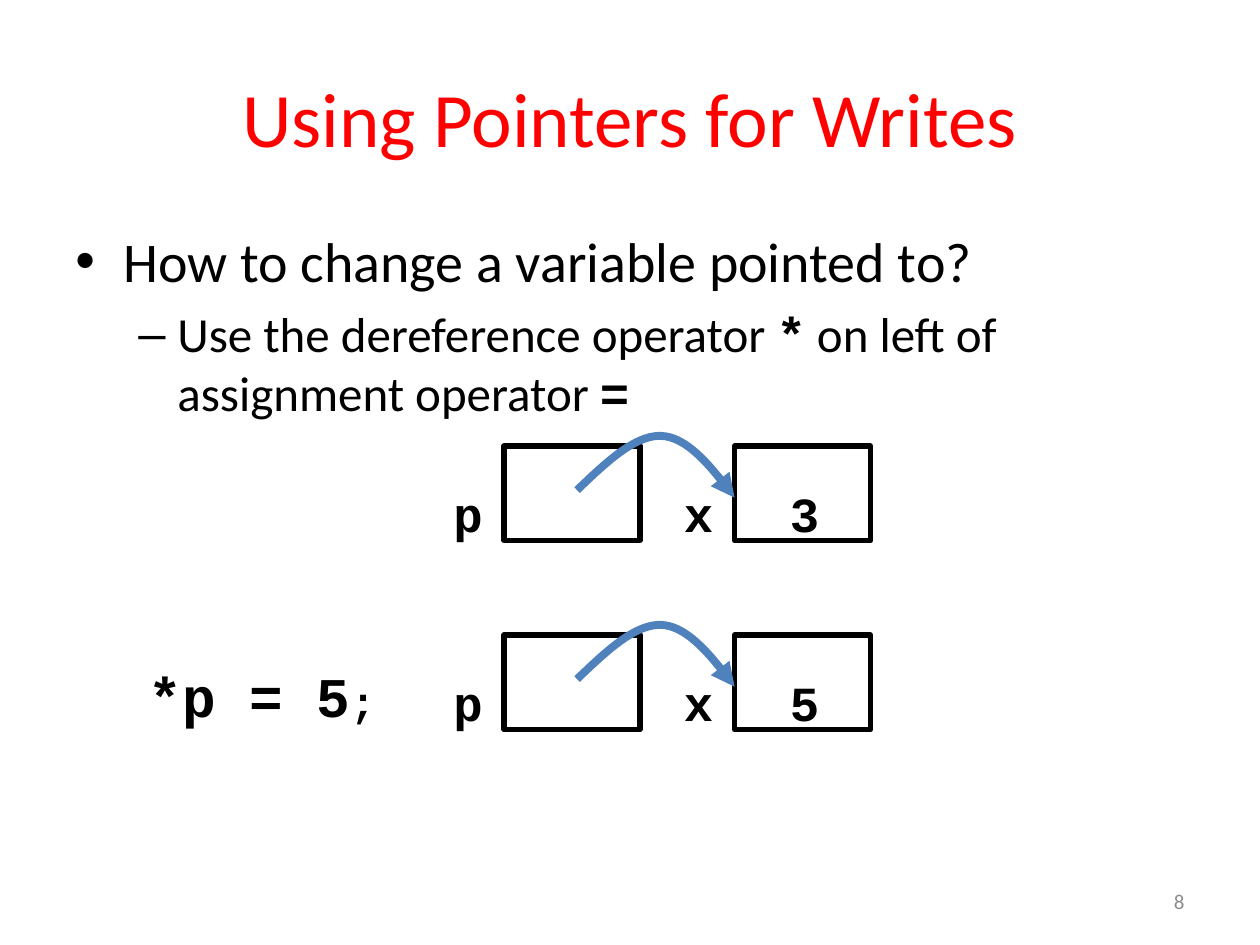
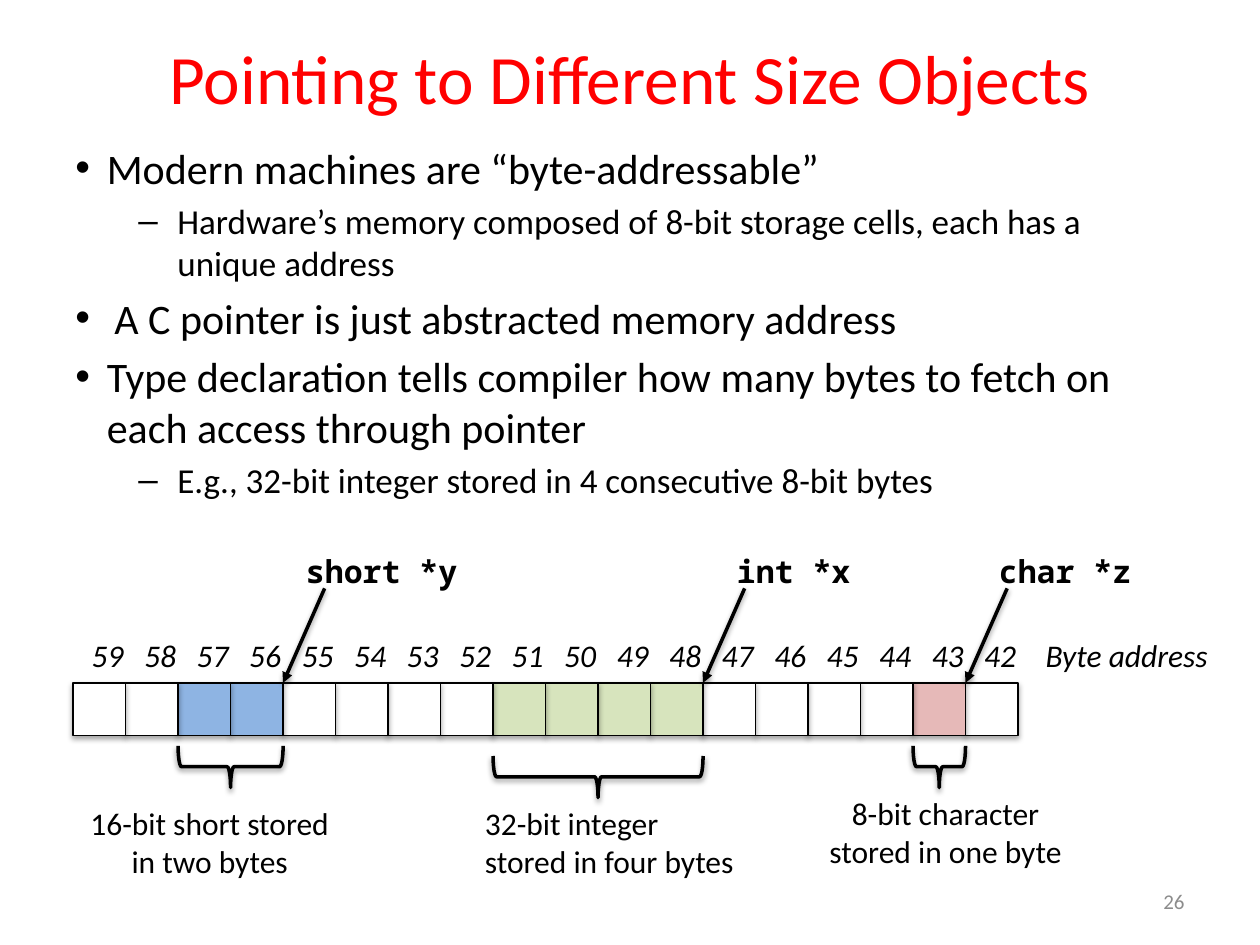
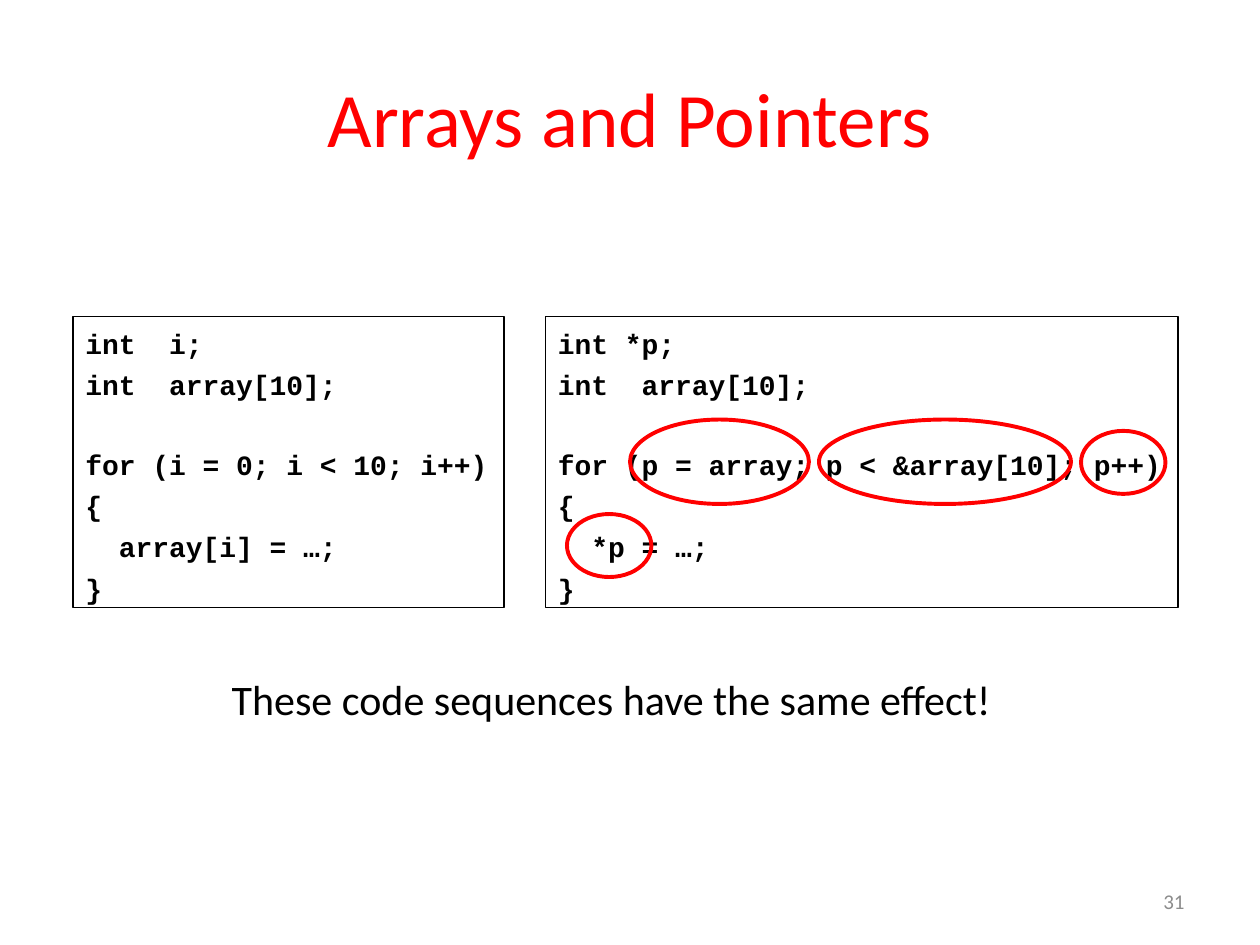
from typing import NamedTuple, Optional

from lxml.etree import SubElement
from pptx import Presentation
from pptx.dml.color import RGBColor
from pptx.enum.shapes import MSO_CONNECTOR, MSO_SHAPE
from pptx.enum.text import MSO_ANCHOR, MSO_AUTO_SIZE, PP_ALIGN
from pptx.oxml.ns import qn
from pptx.util import Inches, Pt

BLACK = RGBColor(0x00, 0x00, 0x00)
WHITE = RGBColor(0xFF, 0xFF, 0xFF)
RED = RGBColor(0xFF, 0x00, 0x00)
GREY = RGBColor(0x8C, 0x8C, 0x8C)
ARROW_BLUE = RGBColor(0x4F, 0x81, 0xBD)
SHORT_BLUE = RGBColor(0x8E, 0xB4, 0xE3)
INT_GREEN = RGBColor(0xD7, 0xE4, 0xBD)
CHAR_PINK = RGBColor(0xE6, 0xB9, 0xB8)

BODY_FONT = "Calibri"
CODE_FONT = "Courier New"
DECLARATION_FONT = "Noto Sans Mono"

TITLE_ONLY = 5
CELL = 7.5 / 18
ROW_LEFT = 0.58
ROW_TOP = 5.42
FIRST_ADDRESS, LAST_ADDRESS = 59, 42


class Box(NamedTuple):
    left: float
    top: float
    width: float
    height: float

    def inches(self) -> list:
        return [Inches(length) for length in self]


class Bullet(NamedTuple):
    """One list item; every second piece of its text is code."""
    pieces: tuple[str, ...]
    size: int
    indent: float
    hanging: float
    mark: str = "•"


class PointedObject(NamedTuple):
    """A stored value: the addresses it covers, its pointer and its caption."""
    high: int
    low: int
    color: RGBColor
    declaration: str
    declaration_box: Box
    brace_top: float
    caption: str
    caption_box: Box
    align: PP_ALIGN = PP_ALIGN.CENTER


OBJECTS = (
    PointedObject(51, 48, INT_GREEN, "int *x", Box(5.75, 4.33, 1.11, 0.4), 6.0,
                  "32-bit integer stored in four bytes",
                  Box(3.75, 6.33, 2.25, 0.71), PP_ALIGN.LEFT),
    PointedObject(57, 56, SHORT_BLUE, "short *y", Box(2.33, 4.33, 1.41, 0.4), 5.92,
                  "16-bit short stored in two bytes", Box(0.58, 6.33, 2.17, 0.71)),
    PointedObject(43, 43, CHAR_PINK, "char *z", Box(7.83, 4.33, 1.26, 0.4), 5.92,
                  "8-bit character stored in one byte", Box(6.42, 6.25, 2.17, 0.71)),
)

WRITE_BULLETS = (
    Bullet(("How to change a variable pointed to?",), 32, 0.38, 0.38),
    Bullet(("Use the dereference operator ", "*", " on left of assignment operator ", "="),
           28, 0.81, 0.31, "–"),
)

SIZE_BULLETS = (
    Bullet(("Modern machines are “byte-addressable”",), 24, 0.25, 0.25),
    Bullet(("Hardware’s memory composed of 8-bit storage cells, each has a unique address",),
           20, 0.81, 0.31, "–"),
    Bullet(("A C pointer is just abstracted memory address",), 24, 0.31, 0.31),
    Bullet(("Type declaration tells compiler how many bytes to fetch on each access "
            "through pointer",), 24, 0.25, 0.25),
    Bullet(("E.g., 32-bit integer stored in 4 consecutive 8-bit bytes",), 20, 0.81, 0.31, "–"),
)

INDEX_LOOP = """int  i;
int  array[10];

for (i = 0; i < 10; i++)
{
  array[i] = …;
}"""

POINTER_LOOP = """int *p;
int  array[10];

for (p = array; p < &array[10]; p++)
{
  *p = …;
}"""


def add_run(paragraph, text: str, *, size: float, font: str = BODY_FONT, bold: bool = False,
            italic: bool = False, color: RGBColor = BLACK) -> None:
    run = paragraph.add_run()
    run.text = text
    run.font.name, run.font.size = font, Pt(size)
    run.font.bold, run.font.italic = bold, italic
    run.font.color.rgb = color


def add_text(shapes, box: Box, text: str = "", *, wrap: bool = False,
             align: PP_ALIGN = PP_ALIGN.LEFT, anchor: MSO_ANCHOR = MSO_ANCHOR.TOP,
             **run_format):
    """Add a text box and return its first paragraph."""
    frame = shapes.add_textbox(*box.inches()).text_frame
    frame.word_wrap = wrap
    frame.vertical_anchor = anchor
    paragraph = frame.paragraphs[0]
    paragraph.alignment = align
    if text:
        add_run(paragraph, text, **run_format)
    return paragraph


def set_effects(shape, shadow_opacity: Optional[int] = None, distance: float = 1.6) -> None:
    """Replace the theme shadow by none, or by a soft one straight below."""
    effects = SubElement(shape.element.spPr, qn("a:effectLst"))
    if shadow_opacity is None:
        return
    shadow = SubElement(effects, qn("a:outerShdw"), blurRad=str(Pt(3.1)),
                        dist=str(Pt(distance)), dir="5400000", rotWithShape="0")
    color = SubElement(shadow, qn("a:srgbClr"), val=str(BLACK))
    SubElement(color, qn("a:alpha"), val=str(shadow_opacity * 1000))


def set_line(shape, color: RGBColor, width: float, arrow_at: Optional[str] = None) -> None:
    shape.line.color.rgb = color
    shape.line.width = Pt(width)
    if arrow_at:
        SubElement(shape.element.spPr.find(qn("a:ln")), qn(f"a:{arrow_at}"), type="triangle")


def add_outline(shapes, kind: MSO_SHAPE, box: Box, *, line_width: float,
                line: RGBColor = BLACK, fill: Optional[RGBColor] = None,
                shadow_opacity: Optional[int] = None, distance: float = 1.6):
    shape = shapes.add_shape(kind, *box.inches())
    if fill is None:
        shape.fill.background()
    else:
        shape.fill.solid()
        shape.fill.fore_color.rgb = fill
    set_line(shape, line, line_width)
    set_effects(shape, shadow_opacity, distance)
    return shape


def add_titled_slide(presentation, title: str, number: int, *, height: float = 1.25,
                     size: float = 44):
    slide = presentation.slides.add_slide(presentation.slide_layouts[TITLE_ONLY])
    placeholder = slide.shapes.title
    placeholder.left, placeholder.top, placeholder.width, placeholder.height = Box(
        0.5, 0.3, 9, height).inches()
    frame = placeholder.text_frame
    frame.auto_size = MSO_AUTO_SIZE.NONE
    frame.vertical_anchor = MSO_ANCHOR.MIDDLE
    frame.paragraphs[0].alignment = PP_ALIGN.CENTER
    add_run(frame.paragraphs[0], title, size=size, color=RED)
    add_text(slide.shapes, Box(7.17, 6.95, 2.33, 0.4), str(number), wrap=True,
             align=PP_ALIGN.RIGHT, anchor=MSO_ANCHOR.MIDDLE, size=12, color=GREY)
    return slide


def add_bullets(shapes, box: Box, bullets: tuple[Bullet, ...]) -> None:
    frame = shapes.add_textbox(*box.inches()).text_frame
    frame.word_wrap = True
    for index, bullet in enumerate(bullets):
        paragraph = frame.add_paragraph() if index else frame.paragraphs[0]
        properties = paragraph._p.get_or_add_pPr()
        properties.set("marL", str(Inches(bullet.indent)))
        properties.set("indent", str(-Inches(bullet.hanging)))
        SubElement(properties, qn("a:buFont"), typeface="Arial")
        SubElement(properties, qn("a:buChar"), char=bullet.mark)
        if index:
            paragraph.space_before = Pt(bullet.size * 0.2)
        for position, piece in enumerate(bullet.pieces):
            is_code = position % 2 == 1
            add_run(paragraph, piece, size=bullet.size, bold=is_code,
                    font=CODE_FONT if is_code else BODY_FONT)


def bezier_points(start, control_1, control_2, end, steps: int = 20) -> list:
    points = []
    for step in range(1, steps + 1):
        t = step / steps
        weights = ((1 - t) ** 3, 3 * t * (1 - t) ** 2, 3 * t ** 2 * (1 - t), t ** 3)
        corners = (start, control_1, control_2, end)
        points.append(tuple(Inches(sum(w * corner[axis] for w, corner in zip(weights, corners)))
                            for axis in (0, 1)))
    return points


def add_pointer_picture(slide, top: float, value: str) -> None:
    """Draw variables p and x, with a curved arrow from p to x."""
    shapes = slide.shapes.add_group_shape().shapes
    for name, left in (("p", 4), ("x", 5.83)):
        add_outline(shapes, MSO_SHAPE.RECTANGLE, Box(left, top, 1.08, 0.75), line_width=3)
        add_text(shapes, Box(left - 0.5, top + 0.25, 0.43, 0.57), name,
                 size=28, font=CODE_FONT, bold=True)
    add_text(shapes, Box(6.17, top + 0.25, 0.43, 0.57), value,
             size=28, font=CODE_FONT, bold=True)

    start, peak, end = (4.58, top + 0.35), (5.25, top - 0.08), (5.83, top + 0.41)
    points = bezier_points(start, (4.81, top + 0.13), (5.04, top - 0.09), peak)
    points += bezier_points(peak, (5.46, top - 0.07), (5.65, top + 0.17), end)
    builder = shapes.build_freeform(Inches(start[0]), Inches(start[1]))
    builder.add_line_segments(points, close=False)
    curve = builder.convert_to_shape()
    curve.fill.background()
    set_line(curve, ARROW_BLUE, 4.5, arrow_at="tailEnd")
    set_effects(curve)


def cell_left(address: int) -> float:
    return ROW_LEFT + (FIRST_ADDRESS - address) * CELL


def add_memory_cell(slide, address: int) -> None:
    fill = next((item.color for item in OBJECTS if item.low <= address <= item.high), WHITE)
    shapes = slide.shapes.add_group_shape().shapes
    left = cell_left(address)
    add_outline(shapes, MSO_SHAPE.RECTANGLE, Box(left, ROW_TOP, CELL, CELL), line_width=0.75,
                fill=fill, shadow_opacity=35, distance=1.8)
    add_text(shapes, Box(left, 5, 0.5, 0.4), str(address), wrap=True,
             align=PP_ALIGN.RIGHT, size=18, italic=True)


def add_pointed_object(slide, item: PointedObject) -> None:
    shapes = slide.shapes
    left, right = cell_left(item.high), cell_left(item.low - 1)
    arrow = shapes.add_connector(MSO_CONNECTOR.STRAIGHT, Inches(right), Inches(ROW_TOP),
                                 Inches(right + 0.33), Inches(4.67))
    set_line(arrow, BLACK, 2, arrow_at="headEnd")
    set_effects(arrow, 38)
    add_text(shapes, item.declaration_box, item.declaration,
             size=18, font=DECLARATION_FONT, bold=True)

    depth, span = 0.33, right - left
    brace = add_outline(
        shapes, MSO_SHAPE.LEFT_BRACE,
        Box((left + right - depth) / 2, item.brace_top + (depth - span) / 2, depth, span),
        line_width=2, shadow_opacity=38)
    brace.rotation = 270
    add_text(shapes, item.caption_box, item.caption, wrap=True, align=item.align, size=18)


def add_code(slide, box: Box, code: str) -> None:
    """Add framed code, turning each empty line into space before the next."""
    shape = add_outline(slide.shapes, MSO_SHAPE.RECTANGLE, box, line_width=0.75)
    frame = shape.text_frame
    frame.word_wrap = False
    frame.vertical_anchor = MSO_ANCHOR.TOP
    frame.margin_top = Inches(0.08)
    gap, line_pitch = 4.3, 22.4
    space = 0.0
    for index, line in enumerate(code.split("\n")):
        if not line:
            space += line_pitch
            continue
        paragraph = frame.add_paragraph() if index else frame.paragraphs[0]
        paragraph.alignment = PP_ALIGN.LEFT
        if index:
            paragraph.space_before = Pt(space)
        add_run(paragraph, line, size=16, font=CODE_FONT, bold=True)
        space = gap


def build_writes_slide(presentation) -> None:
    slide = add_titled_slide(presentation, "Using Pointers for Writes", 8)
    add_bullets(slide.shapes, Box(0.5, 1.75, 9, 4.95), WRITE_BULLETS)
    add_pointer_picture(slide, 5.04, "5")
    statement = add_text(slide.shapes, Box(1.08, 5.2, 2, 0.63), "*p = 5",
                         size=32, font=CODE_FONT, bold=True)
    add_run(statement, ";", size=24, font=CODE_FONT, bold=True)
    add_pointer_picture(slide, 3.54, "3")


def build_sizes_slide(presentation) -> None:
    slide = add_titled_slide(presentation, "Pointing to Different Size Objects", 26,
                             height=0.62, size=39.6)
    add_bullets(slide.shapes, Box(0.5, 1.08, 9, 3.17), SIZE_BULLETS)
    for address in range(LAST_ADDRESS, FIRST_ADDRESS + 1):
        add_memory_cell(slide, address)
    for item in OBJECTS:
        add_pointed_object(slide, item)
    add_text(slide.shapes, Box(8.2, 5, 1.57, 0.4), "Byte address", size=18, italic=True)


def build_arrays_slide(presentation) -> None:
    slide = add_titled_slide(presentation, "Arrays and Pointers", 31)
    add_code(slide, Box(0.58, 2.51, 3.42, 2.31), INDEX_LOOP)
    add_code(slide, Box(4.33, 2.51, 5.02, 2.31), POINTER_LOOP)
    for highlight in (Box(5, 3.33, 1.42, 0.67), Box(6.5, 3.33, 2, 0.67),
                      Box(8.58, 3.42, 0.67, 0.5), Box(4.5, 4.08, 0.67, 0.5)):
        add_outline(slide.shapes, MSO_SHAPE.OVAL, highlight, line_width=2.25, line=RED)
    add_text(slide.shapes, Box(1.74, 5.3, 6.29, 0.5),
             "These code sequences have the same effect!", size=24)


def main() -> None:
    presentation = Presentation()
    presentation.slide_width, presentation.slide_height = Inches(10), Inches(7.5)
    build_writes_slide(presentation)
    build_sizes_slide(presentation)
    build_arrays_slide(presentation)
    presentation.save("out.pptx")


if __name__ == "__main__":
    main()
